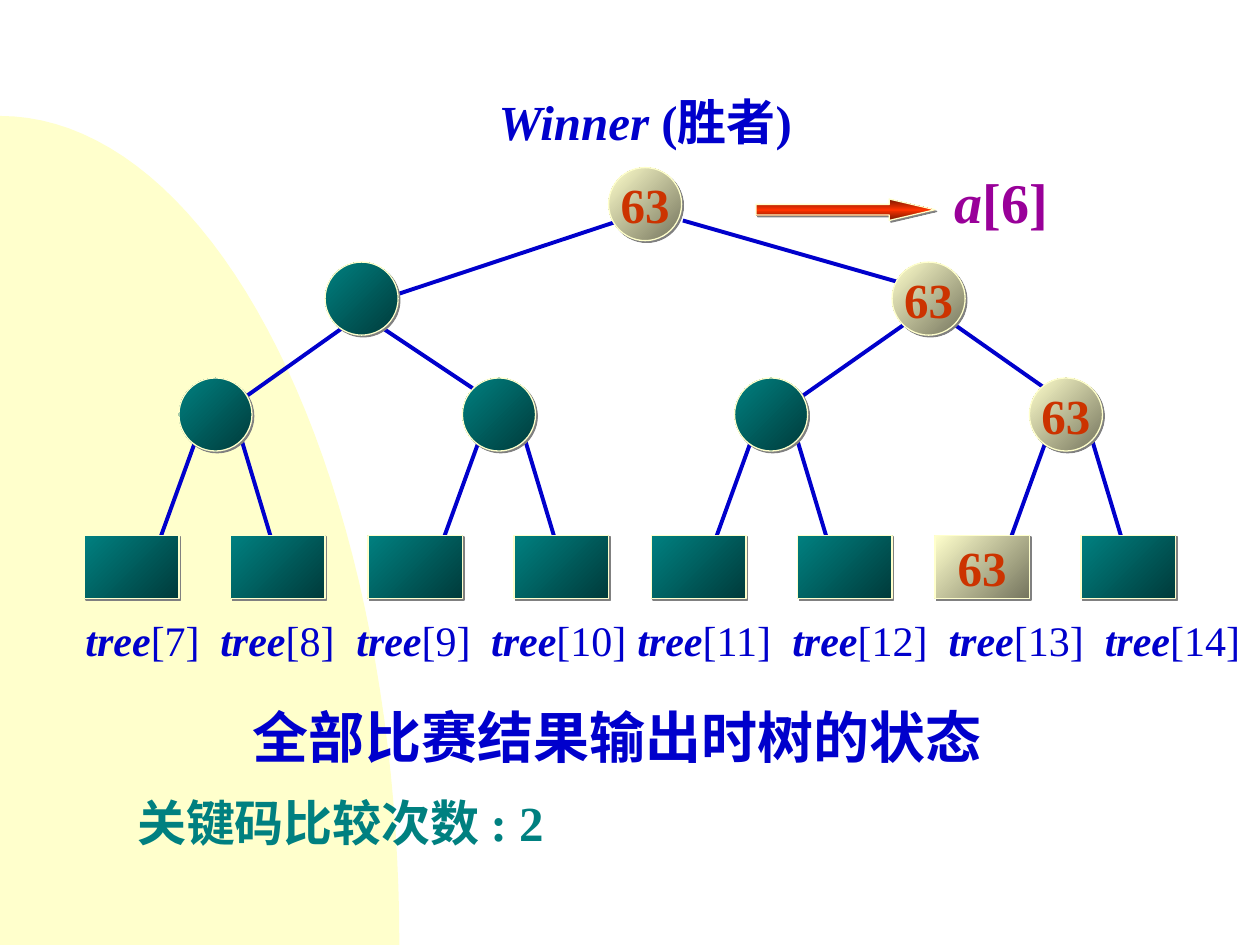
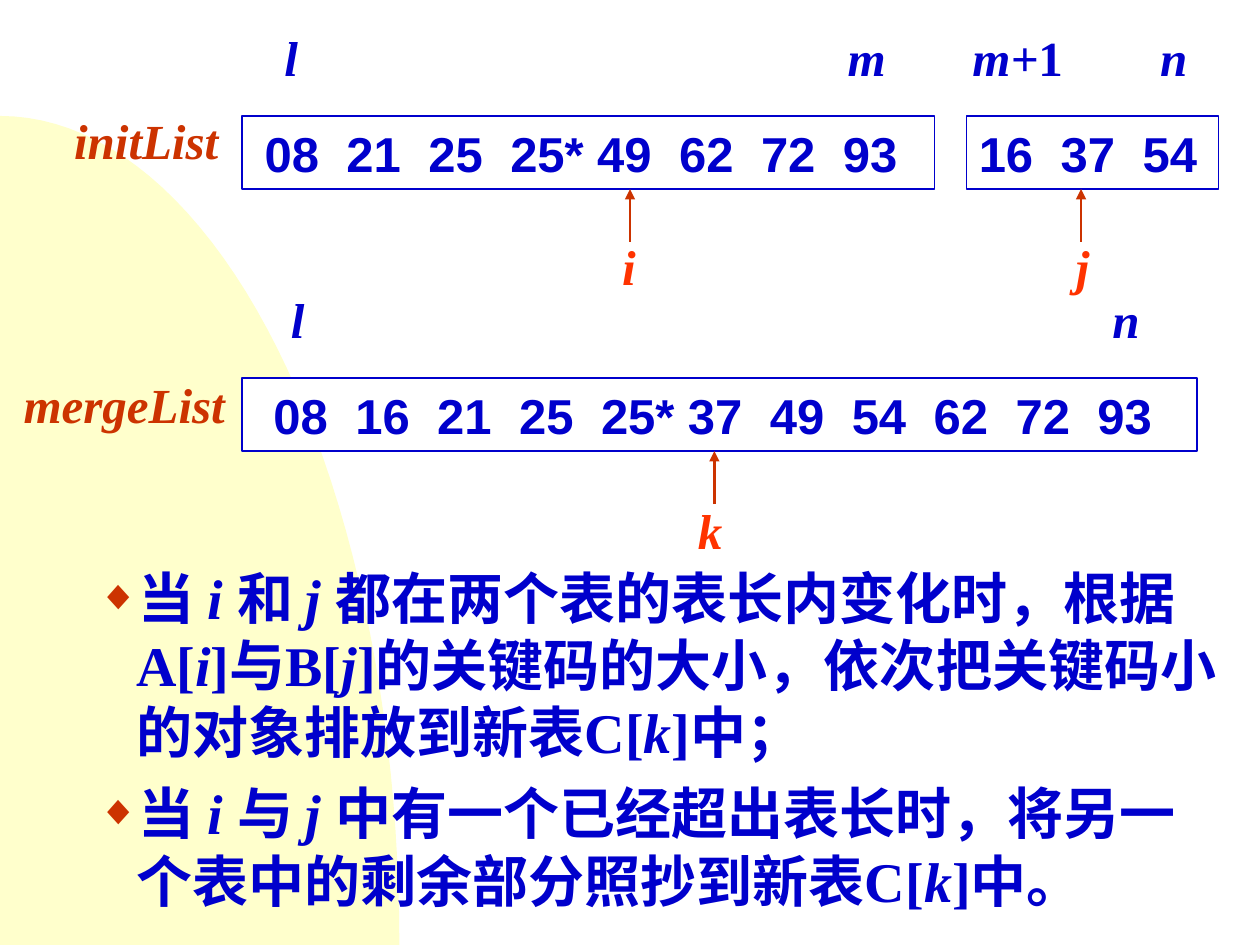
import math

import pptx
import pptx.dml.color
import pptx.enum.shapes
import pptx.enum.text
import pptx.oxml
import pptx.oxml.ns
import pptx.util
from lxml import etree

Inches = pptx.util.Inches
Pt = pptx.util.Pt
RGBColor = pptx.dml.color.RGBColor
SHAPE = pptx.enum.shapes.MSO_SHAPE
STRAIGHT = pptx.enum.shapes.MSO_CONNECTOR.STRAIGHT
LEFT = pptx.enum.text.PP_ALIGN.LEFT
CENTER = pptx.enum.text.PP_ALIGN.CENTER
qn = pptx.oxml.ns.qn

BLUE = RGBColor(0x00, 0x00, 0xCC)
RUST = RGBColor(0xCC, 0x33, 0x00)
RED = RGBColor(0xFF, 0x33, 0x00)
TEAL = RGBColor(0x00, 0x80, 0x80)
PURPLE = RGBColor(0x99, 0x00, 0x99)
CREAM = RGBColor(0xFF, 0xFF, 0xCC)
WHITE = RGBColor(0xFF, 0xFF, 0xFF)
DARK_TEAL = RGBColor(0x00, 0x3B, 0x3B)
DARK_CREAM = RGBColor(0x75, 0x75, 0x5E)
DARK_RED = RGBColor(0x75, 0x17, 0x00)
SHADOW = RGBColor(0x80, 0x80, 0x80)
SERIF, SANS = "Times New Roman", "Arial"
NODE = 0.58


def write_runs(para, runs, size, color, font=SERIF, tabs=()):
    """Each run is (text, style), where style holds b for bold and i for italic."""
    if tabs:
        tab_list = etree.SubElement(para._p.get_or_add_pPr(), qn("a:tabLst"))
        for position in tabs:
            etree.SubElement(tab_list, qn("a:tab"), pos=str(Inches(position)), algn="l")
    for text, style in runs:
        span = para.add_run()
        span.text = text
        span.font.name = font
        span.font.size = Pt(size)
        span.font.color.rgb = color
        span.font.bold = "b" in style
        span.font.italic = "i" in style


def shade(shape, colors, angle):
    """Gradient fill, thin cream outline and hard shadow."""
    properties = shape.element.spPr
    gradient = etree.Element(qn("a:gradFill"), rotWithShape="1")
    stops = etree.SubElement(gradient, qn("a:gsLst"))
    for index, color in enumerate(colors):
        place = 100000 * index // (len(colors) - 1)
        stop = etree.SubElement(stops, qn("a:gs"), pos=str(place))
        etree.SubElement(stop, qn("a:srgbClr"), val=str(color))
    etree.SubElement(gradient, qn("a:lin"), ang=str(angle * 60000), scaled="0")
    properties.find(qn("a:prstGeom")).addnext(gradient)
    shape.line.color.rgb = CREAM
    shape.line.width = Pt(0.75)
    effects = etree.SubElement(properties, qn("a:effectLst"))
    shadow = etree.SubElement(effects, qn("a:outerShdw"), blurRad="0", dist=str(Pt(1.4)),
                              dir=str(45 * 60000), algn="ctr", rotWithShape="0")
    etree.SubElement(shadow, qn("a:srgbClr"), val=str(SHADOW))


deck = pptx.Presentation()
deck.slide_width, deck.slide_height = Inches(10), Inches(7.5)
tree_page = deck.slides.add_slide(deck.slide_layouts[6])
merge_page = deck.slides.add_slide(deck.slide_layouts[1])
title = merge_page.shapes.title.element
title.getparent().remove(title)

# Quarter ellipse behind both pages
for page in (tree_page, merge_page):
    curve = [(Inches(3.17 * math.sin(math.radians(angle))),
              Inches(7.5 - 6.58 * math.cos(math.radians(angle))))
             for angle in range(0, 91, 2)]
    builder = page.shapes.build_freeform(0, Inches(7.5))
    builder.add_line_segments(curve, close=True)
    band = builder.convert_to_shape()
    band.fill.solid()
    band.fill.fore_color.rgb = CREAM
    band.line.fill.background()
    band.shadow.inherit = False
    # keep the band behind the body text
    band.element.getparent().insert(2, band.element)

# Number lists: left, top, width, left inset, values
lists = [
    (1.92, 0.92, 5.5, 0.18, "08 21 25 25* 49 62 72 93"),
    (7.67, 0.92, 2, 0.1, "16 37 54"),
    (1.92, 3, 7.58, 0.25, "08 16 21 25 25* 37 49 54 62 72 93"),
]
for left, top, width, inset, values in lists:
    box = merge_page.shapes.add_shape(
        SHAPE.RECTANGLE, Inches(left), Inches(top), Inches(width), Inches(NODE))
    box.fill.solid()
    box.fill.fore_color.rgb = WHITE
    box.line.color.rgb = BLUE
    box.line.width = Pt(0.75)
    box.shadow.inherit = False
    frame = box.text_frame
    frame.word_wrap = True
    frame.margin_left, frame.margin_right = Inches(inset), 0
    frame.paragraphs[0].alignment = LEFT
    values = values.split()
    # the starred value takes a little more room
    tabs = [0.65 * index + (0.04 if "25*" in values[:index] else 0)
            for index in range(1, len(values))]
    write_runs(frame.paragraphs[0], [("\t".join(values), "b")], 28, BLUE, SANS, tabs)

# Tree edges, then index arrows
parents = [1.42, 3.67, 5.83, 8.17]
edges = [
    (5.42, 1.75, 7.17, 2.25), (3.17, 2.33, 4.92, 1.75),
    (7.17, 2.58, 6.33, 3.17), (7.58, 2.58, 8.42, 3.17),
    (2.75, 2.58, 1.92, 3.17), (3, 2.58, 3.75, 3.08),
]
for parent in parents:
    edges.append((parent + 0.16, 3.42, parent - 0.17, 4.33))
    edges.append((parent + 0.5, 3.5, parent + 0.75, 4.33))
pointers = [(5, 1.92, 5, 1.5), (8.58, 1.92, 8.58, 1.5), (5.67, 4, 5.67, 3.58)]
for page, lines, color, weight in ((tree_page, edges, BLUE, 2.25),
                                   (merge_page, pointers, RUST, 1.5)):
    for ends in lines:
        line = page.shapes.add_connector(STRAIGHT, *[Inches(value) for value in ends])
        line.line.color.rgb = color
        line.line.width = Pt(weight)
        etree.SubElement(line.element.spPr, qn("a:effectLst"))
        if page is merge_page:
            etree.SubElement(line.line._get_or_add_ln(), qn("a:tailEnd"), type="triangle")

# Tree nodes: left, top, on the winner's way up
circles = [(4.83, 1.33, True), (2.58, 2.08, False), (7.08, 2.08, True)]
circles += [(parent, 3, parent == 8.17) for parent in parents]
leaves = [(left, 4.25, left == 7.42)
          for left in (0.67, 1.83, 2.92, 4.08, 5.17, 6.33, 7.42, 8.58)]
for kind, nodes, width, height in ((SHAPE.OVAL, circles, NODE, NODE),
                                   (SHAPE.RECTANGLE, leaves, 0.75, 0.5)):
    for left, top, winning in nodes:
        node = tree_page.shapes.add_shape(
            kind, Inches(left), Inches(top), Inches(width), Inches(height))
        shade(node, (DARK_CREAM, CREAM) if winning else (DARK_TEAL, TEAL), 225)
        if winning:
            node.text_frame.word_wrap = False
            node.text_frame.paragraphs[0].alignment = CENTER
            write_runs(node.text_frame.paragraphs[0], [("63", "b")], 28, RUST)

# Output arrow
arrow = tree_page.shapes.add_shape(
    SHAPE.RIGHT_ARROW, Inches(6), Inches(1.58), Inches(1.42), Inches(0.17))
arrow.adjustments[1] = 2.13
shade(arrow, (DARK_RED, RED, DARK_RED), 90)

# Labels: page, left, top, width, runs, size, colour
labels = [
    (tree_page, 3.86, 0.68, 3, [("Winner ", "bi"), ("(胜者)", "b")], 28, BLUE),
    (tree_page, 7.48, 1.28, 1.2, [("a", "bi"), ("[6]", "b")], 32, PURPLE),
    (tree_page, 1.91, 5.53, 6.3, [("全部比赛结果输出时树的状态", "b")], 32, BLUE),
    (tree_page, 0.99, 6.24, 4, [("关键码比较次数 : 2", "b")], 28, TEAL),
    (merge_page, 2.16, 0.17, 0.5, [("l", "bi")], 28, BLUE),
    (merge_page, 6.63, 0.17, 0.7, [("m", "bi")], 28, BLUE),
    (merge_page, 7.62, 0.17, 1.2, [("m+", "bi"), ("1", "b")], 28, BLUE),
    (merge_page, 9.11, 0.17, 0.5, [("n", "bi")], 28, BLUE),
    (merge_page, 0.49, 0.83, 1.42, [("initList", "bi")], 28, RUST),
    (merge_page, 4.84, 1.83, 0.5, [("i", "bi")], 28, RED),
    (merge_page, 8.44, 1.83, 0.5, [("j", "bi")], 28, RED),
    (merge_page, 2.21, 2.25, 0.5, [("l", "bi")], 28, BLUE),
    (merge_page, 8.73, 2.25, 0.5, [("n", "bi")], 28, BLUE),
    (merge_page, 5.44, 3.92, 0.5, [("k", "bi")], 28, RED),
    (merge_page, 0.09, 2.92, 1.9, [("mergeList", "bi")], 28, RUST),
]
for page, left, top, width, runs, size, color in labels:
    box = page.shapes.add_textbox(
        Inches(left), Inches(top), Inches(width), Inches(0.64 if size == 32 else 0.57))
    box.text_frame.word_wrap = True
    write_runs(box.text_frame.paragraphs[0], runs, size, color)

# Row of leaf names
box = tree_page.shapes.add_textbox(Inches(0.58), Inches(4.83), Inches(9.42), Inches(0.5))
box.text_frame.word_wrap = True
box.text_frame.margin_right = 0
names = []
for index in range(7, 15):
    names += [("tree", "bi"), (f"[{index}]" + ("\t" if index < 14 else ""), "")]
write_runs(box.text_frame.paragraphs[0], names, 24, BLUE,
           tabs=(1.07, 2.15, 3.22, 4.38, 5.61, 6.85, 8.09))

# Merge rules
body = merge_page.placeholders[1]
body.left, body.top, body.width, body.height = (
    Inches(0.17), Inches(4.42), Inches(9.75), Inches(2.92))
frame = body.text_frame
frame.word_wrap = True
frame.auto_size = pptx.enum.text.MSO_AUTO_SIZE.NONE
rules = [
    [("当 ", "b"), ("i ", "bi"), ("和 ", "b"), ("j ", "bi"),
     ("都在两个表的表长内变化时，根据A[", "b"), ("i", "bi"), ("]与B[", "b"), ("j", "bi"),
     ("]的关键码的大小，依次把关键码小的对象排放到新表C[", "b"), ("k", "bi"), ("]中；", "b")],
    [("当 ", "b"), ("i ", "bi"), ("与 ", "b"), ("j ", "bi"),
     ("中有一个已经超出表长时，将另一 个表中的剩余部分照抄到新表C[", "b"),
     ("k", "bi"), ("]中。", "b")],
]
for index, runs in enumerate(rules):
    para = frame.add_paragraph() if index else frame.paragraphs[0]
    para.level = 1
    para.space_before = Pt(8 if index else 0)
    settings = para._p.get_or_add_pPr()
    settings.set("marL", str(Inches(0.81)))
    settings.set("indent", str(Inches(-0.31)))
    bullet_color = etree.SubElement(settings, qn("a:buClr"))
    etree.SubElement(bullet_color, qn("a:srgbClr"), val=str(RUST))
    etree.SubElement(settings, qn("a:buSzPct"), val="75000")
    etree.SubElement(settings, qn("a:buChar"), char="◆")
    write_runs(para, runs, 32, BLUE)

deck.save("out.pptx")
